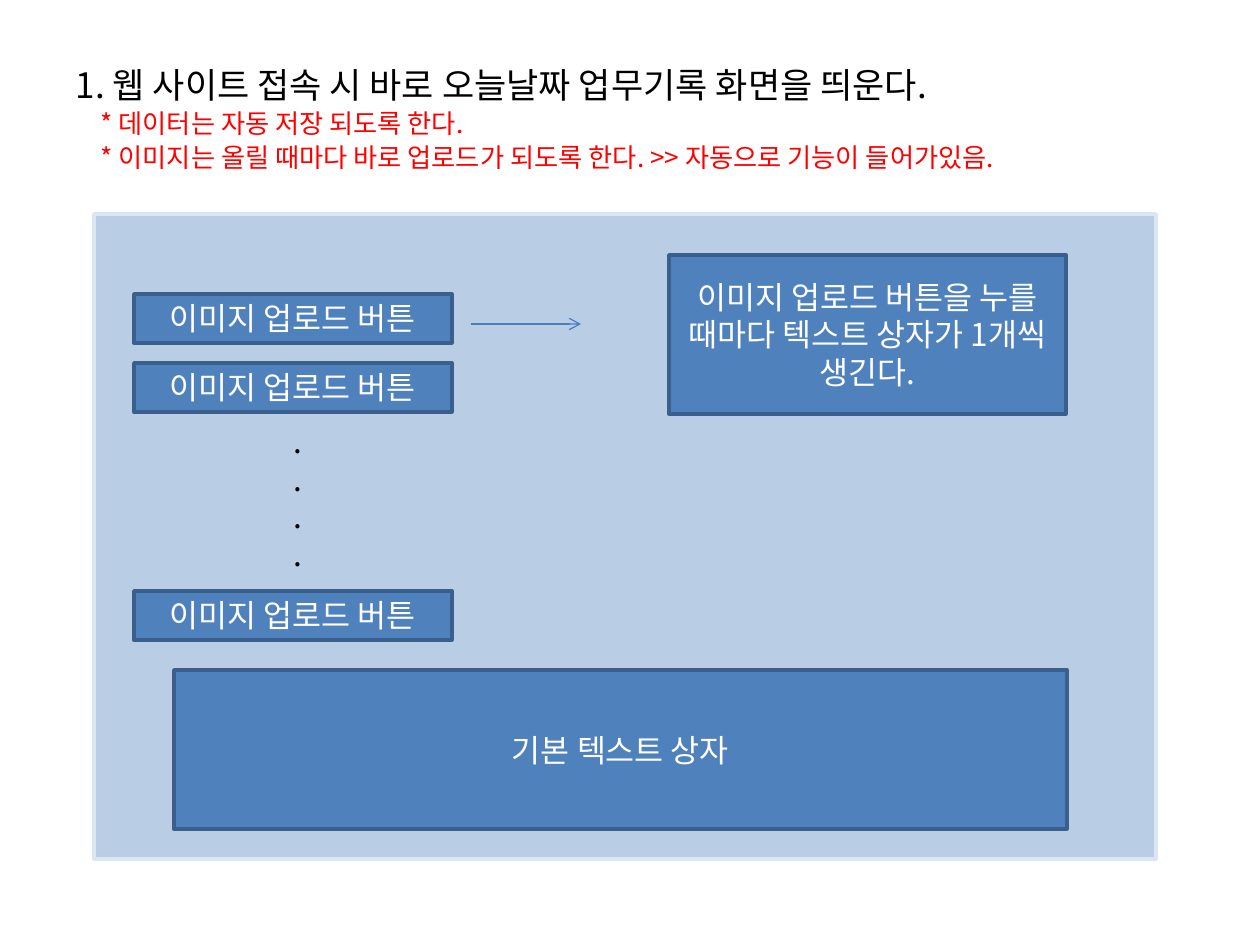
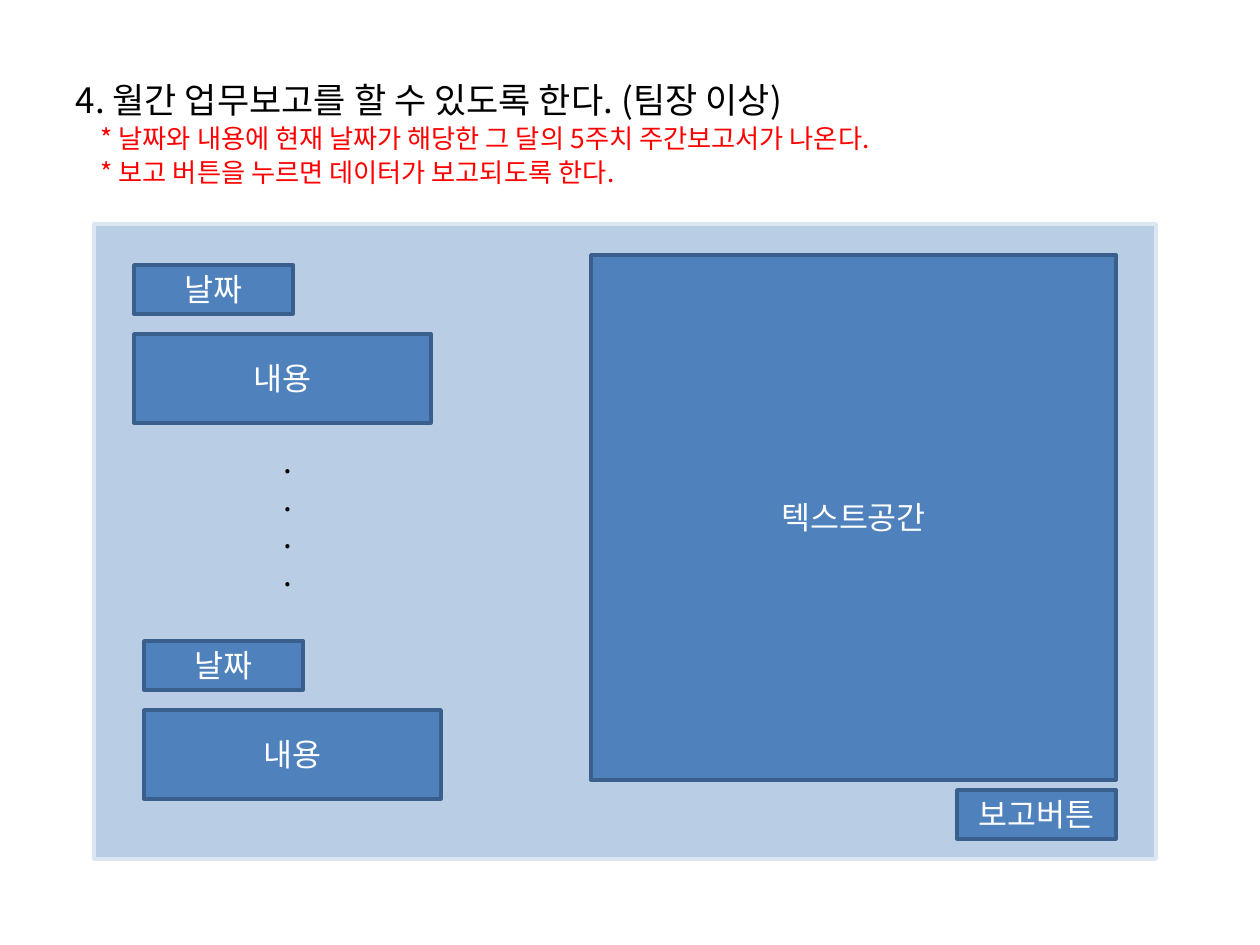
from dataclasses import dataclass

from lxml import etree
from pptx import Presentation
from pptx import util as u
from pptx.dml.color import RGBColor
from pptx.enum import shapes, text
from pptx.oxml.ns import qn

PX = u.Inches(1) / 126


@dataclass(frozen=True)
class Theme:
    font: str = "Noto Sans CJK KR"
    black: str = "000000"
    white: str = "FFFFFF"
    red: str = "FF0000"
    panel: str = "B9CDE5"
    panel_edge: str = "DCE6F2"
    block: str = "4F81BD"
    block_edge: str = "3A5F8C"
    arrow: str = "4B7EBC"
    heading_size: int = 20
    note_size: int = 15
    body_size: int = 18
    edge_width: float = 2
    arrow_width: float = 0.75


@dataclass(frozen=True)
class Box:
    left: int
    top: int
    width: int
    height: int

    def inside(self, left, top, width, height):
        return Box(self.left + left, self.top + top, width, height)

    def emu(self):
        return [px(n) for n in (self.left, self.top, self.width, self.height)]


THEME = Theme()
BUTTON = (318, 49)
SMALL = (159, 49)
CONTENT = (297, 89)
ROW_STEP = 69


def px(length):
    return u.Emu(round(length * PX))


def apply(target, values):
    for name, value in values.items():
        setattr(target, name, value)


def write(para, words, size, color, spacing, align=text.PP_ALIGN.CENTER):
    apply(para, {"alignment": align, "line_spacing": u.Pt(spacing),
                 "space_before": u.Pt(0), "space_after": u.Pt(0)})
    span = para.add_run()
    span.text = words
    apply(span.font, {"name": THEME.font, "size": u.Pt(size), "bold": False})
    span.font.color.rgb = RGBColor.from_string(color)
    # East Asian letters take their own typeface entry
    etree.SubElement(span.font._element, qn("a:ea"), typeface=THEME.font)


def write_body(frame, lines, color):
    apply(frame, {"word_wrap": True, "vertical_anchor": text.MSO_ANCHOR.MIDDLE})
    for index, words in enumerate(lines):
        para = frame.add_paragraph() if index else frame.paragraphs[0]
        write(para, words, THEME.body_size, color, 21.5)


def add_heading(page, box, heading, notes, bottom=6):
    """Title with indented red notes below it."""
    title = page.shapes.title
    apply(title, dict(zip(("left", "top", "width", "height"), box.emu())))
    frame = title.text_frame
    apply(frame, {"word_wrap": True, "auto_size": text.MSO_AUTO_SIZE.NONE,
                  "vertical_anchor": text.MSO_ANCHOR.MIDDLE,
                  "margin_bottom": px(bottom)})
    left = text.PP_ALIGN.LEFT
    write(frame.paragraphs[0], heading, THEME.heading_size, THEME.black, 25.5, left)
    for note in notes:
        para = frame.add_paragraph()
        write(para, note, THEME.note_size, THEME.red, 19.1, left)
        para._p.get_or_add_pPr().set("marL", str(px(25)))


def add_block(page, box, words="", fill=THEME.block, edge=THEME.block_edge):
    block = page.shapes.add_shape(shapes.MSO_SHAPE.RECTANGLE, *box.emu())
    block.shadow.inherit = False
    block.fill.solid()
    block.fill.fore_color.rgb = RGBColor.from_string(fill)
    block.line.color.rgb = RGBColor.from_string(edge)
    block.line.width = u.Pt(THEME.edge_width)
    if words:
        write_body(block.text_frame, [words], THEME.white)


def add_panel(page, box):
    add_block(page, box, fill=THEME.panel, edge=THEME.panel_edge)


def add_dots(page, box):
    dots = page.shapes.add_textbox(*box.emu())
    write_body(dots.text_frame, ["."] * 4, THEME.black)


def add_arrow(page, box):
    start, y, length, _ = box.emu()
    arrow = page.shapes.add_connector(
        shapes.MSO_CONNECTOR.STRAIGHT, start, y, start + length, y)
    arrow.line.color.rgb = RGBColor.from_string(THEME.arrow)
    arrow.line.width = u.Pt(THEME.arrow_width)
    etree.SubElement(arrow.line._get_or_add_ln(), qn("a:tailEnd"), type="arrow")
    etree.SubElement(arrow._element.spPr, qn("a:effectLst"))


def add_upload_screen(page, box):
    """Upload buttons, the note they point to and the default text box."""
    add_panel(page, box)
    for top in (80, 80 + ROW_STEP, 377):
        add_block(page, box.inside(40, top, *BUTTON), "이미지 업로드 버튼")
    add_dots(page, box.inside(149, 209, 110, 149))
    add_arrow(page, box.inside(377, 110, 110, 0))
    add_block(page, box.inside(575, 41, 397, 159),
              "이미지 업로드 버튼을 누를 때마다 텍스트 상자가 1개씩 생긴다.")
    add_block(page, box.inside(80, 456, 893, 159), "기본 텍스트 상자")


def add_report_screen(page, box):
    """Dated entries on the left, text area and report button on the right."""
    add_panel(page, box)
    for left, top in ((40, 41), (50, 417)):
        add_block(page, box.inside(left, top, *SMALL), "날짜")
        add_block(page, box.inside(left, top + ROW_STEP, *CONTENT), "내용")
    add_dots(page, box.inside(139, 209, 110, 169))
    add_block(page, box.inside(497, 31, 525, 525), "텍스트공간")
    add_block(page, box.inside(863, 566, *SMALL), "보고버튼")


def main():
    deck = Presentation()
    apply(deck, {"slide_width": u.Inches(10), "slide_height": u.Inches(7.5)})
    title_only = deck.slide_layouts[5]

    # Daily record
    page = deck.slides.add_slide(title_only)
    add_heading(page, Box(63, 38, 1134, 157),
                "1. 웹 사이트 접속 시 바로 오늘날짜 업무기록 화면을 띄운다.",
                ["* 데이터는 자동 저장 되도록 한다.",
                 "* 이미지는 올릴 때마다 바로 업로드가 되도록 한다. >> 자동으로 기능이 들어가있음."])
    add_upload_screen(page, Box(94, 214, 1062, 645))

    # Monthly report
    page = deck.slides.add_slide(title_only)
    add_heading(page, Box(63, 38, 1134, 217),
                "4. 월간 업무보고를 할 수 있도록 한다. (팀장 이상)",
                ["* 날짜와 내용에 현재 날짜가 해당한 그 달의 5주치 주간보고서가 나온다.",
                 "* 보고 버튼을 누르면 데이터가 보고되도록 한다."], bottom=36)
    add_report_screen(page, Box(94, 224, 1062, 635))

    deck.save("out.pptx")


if __name__ == "__main__":
    main()
